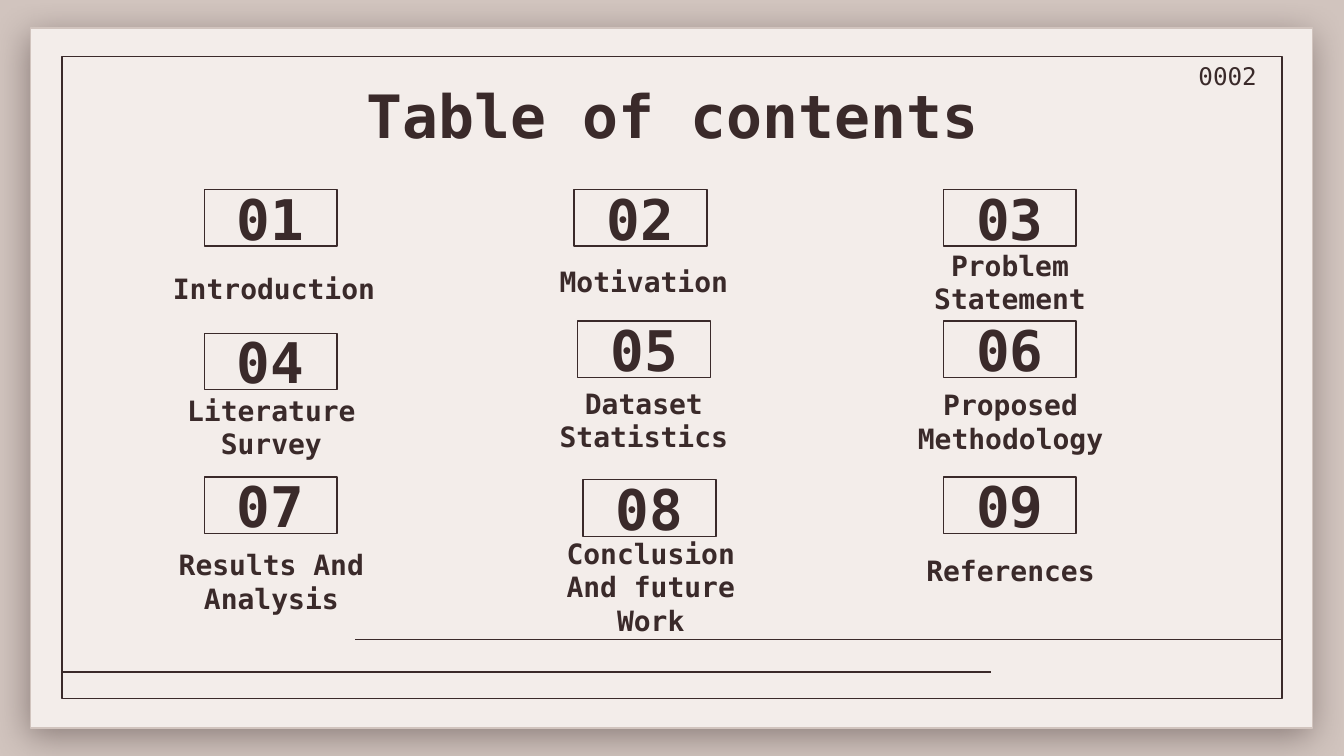
"""Build a table of contents slide with nine numbered sections."""
from lxml import etree
from pptx import Presentation
from pptx.dml.color import RGBColor
from pptx.enum.shapes import MSO_CONNECTOR, MSO_SHAPE
from pptx.enum.text import MSO_ANCHOR, PP_ALIGN
from pptx.oxml import parse_xml
from pptx.oxml.ns import qn
from pptx.util import Cm, Pt

RECTANGLE = MSO_SHAPE.RECTANGLE
STRAIGHT = MSO_CONNECTOR.STRAIGHT
TOP, MIDDLE = MSO_ANCHOR.TOP, MSO_ANCHOR.MIDDLE
LEFT, CENTER = PP_ALIGN.LEFT, PP_ALIGN.CENTER

COLORS = {"ink": "3A2A2A", "paper": "F3EDEA", "backdrop": "D1C4BE"}
FONT = "DejaVu Sans Mono"
LINE_WIDTH = Pt(0.75)
INSET = Cm(0.25)
NUMBER_SIZE = (2.51, 1.07)
LABEL_HEIGHT = 0.99

SECTIONS = [
    ("Introduction", (3.86, 3.58), (2.87, 4.95, 4.62)),
    ("Motivation", (10.85, 3.58), (10.06, 4.83, 4.22)),
    ("Problem Statement", (17.83, 3.58), (16.59, 4.83, 5)),
    ("Literature Survey", (3.86, 6.3), (2.82, 7.57, 4.62)),
    ("Dataset Statistics", (10.92, 6.07), (10.06, 7.44, 4.22)),
    ("Proposed Methodology", (17.83, 6.07), (16.99, 7.47, 4.22)),
    ("Results And Analysis", (3.86, 9.02), (2.82, 10.49, 4.62)),
    ("Conclusion And future Work", (11.02, 9.07), (10.19, 10.59, 4.22)),
    ("References", (17.83, 9.02), (16.99, 10.29, 4.22)),
]

SHADOW = f"""
<a:effectLst xmlns:a="http://schemas.openxmlformats.org/drawingml/2006/main">
  <a:outerShdw blurRad="{Pt(19.1)}" dist="{Pt(4.5)}" dir="6300000" algn="bl" rotWithShape="0">
    <a:srgbClr val="{COLORS['ink']}"><a:alpha val="45000"/></a:srgbClr>
  </a:outerShdw>
</a:effectLst>"""


def rgb(name):
    """Return the named color."""
    return RGBColor.from_string(COLORS[name])


def set_attributes(target, values):
    """Set every attribute in values on the target."""
    for name, value in values.items():
        setattr(target, name, value)


def style_line(line, color):
    """Give a line its color and width."""
    line.color.rgb = rgb(color)
    line.width = LINE_WIDTH


def add_rectangle(slide, box, line="ink", fill=None):
    """Add an outlined rectangle without a shadow."""
    shape = slide.shapes.add_shape(RECTANGLE, *map(Cm, box))
    shape.shadow.inherit = False
    if fill:
        shape.fill.solid()
        shape.fill.fore_color.rgb = rgb(fill)
    else:
        shape.fill.background()
    style_line(shape.line, line)
    return shape


def add_sheet(slide, box):
    """Add the paper sheet with its soft shadow."""
    properties = add_rectangle(slide, box, "backdrop", "paper").element.spPr
    properties.replace(properties.find(qn("a:effectLst")), parse_xml(SHADOW))


def write_text(shape, text, size, bold=True, alignment=CENTER, anchor=MIDDLE):
    """Write one formatted paragraph into a shape."""
    frame = shape.text_frame
    set_attributes(frame, {
        "word_wrap": True, "vertical_anchor": anchor,
        "margin_left": INSET, "margin_right": INSET,
        "margin_top": INSET, "margin_bottom": INSET,
    })
    paragraph = frame.paragraphs[0]
    paragraph.alignment = alignment
    run = paragraph.add_run()
    run.text = text
    set_attributes(run.font, {"name": FONT, "size": Pt(size), "bold": bold})
    run.font.color.rgb = rgb("ink")


def add_text(slide, box, text, size, **options):
    """Add a text box."""
    write_text(slide.shapes.add_textbox(*map(Cm, box)), text, size, **options)


def add_rule(slide, start, end, top):
    """Add a thin horizontal rule."""
    rule = slide.shapes.add_connector(STRAIGHT, Cm(start), Cm(top), Cm(end), Cm(top))
    style_line(rule.line, "ink")
    etree.SubElement(rule.element.spPr, qn("a:effectLst"))


def add_section(slide, number, label, number_place, label_place):
    """Add a boxed section number and its label."""
    number_box = add_rectangle(slide, (*number_place, *NUMBER_SIZE))
    write_text(number_box, f"{number:02d}", 30)
    add_text(slide, (*label_place, LABEL_HEIGHT), label, 15)


def main():
    """Build and save the slide."""
    presentation = Presentation()
    set_attributes(presentation, {"slide_width": Cm(25.4), "slide_height": Cm(14.29)})
    slide = presentation.slides.add_slide(presentation.slide_layouts[6])
    slide.background.fill.solid()
    slide.background.fill.fore_color.rgb = rgb("backdrop")

    add_sheet(slide, (0.58, 0.53, 24.23, 13.23))
    add_rectangle(slide, (1.17, 1.07, 23.06, 12.14))
    add_text(slide, (2.01, 1.24, 21.41, 1.6), "Table of contents", 32, anchor=TOP)
    add_rule(slide, 1.17, 18.72, 12.7)
    add_rule(slide, 6.71, 24.23, 12.09)
    for number, section in enumerate(SECTIONS, 1):
        add_section(slide, number, *section)
    add_text(slide, (22.4, 1.02, 1.8, 0.84), "0002", 13, bold=False, alignment=LEFT)
    presentation.save("out.pptx")


if __name__ == "__main__":
    main()
